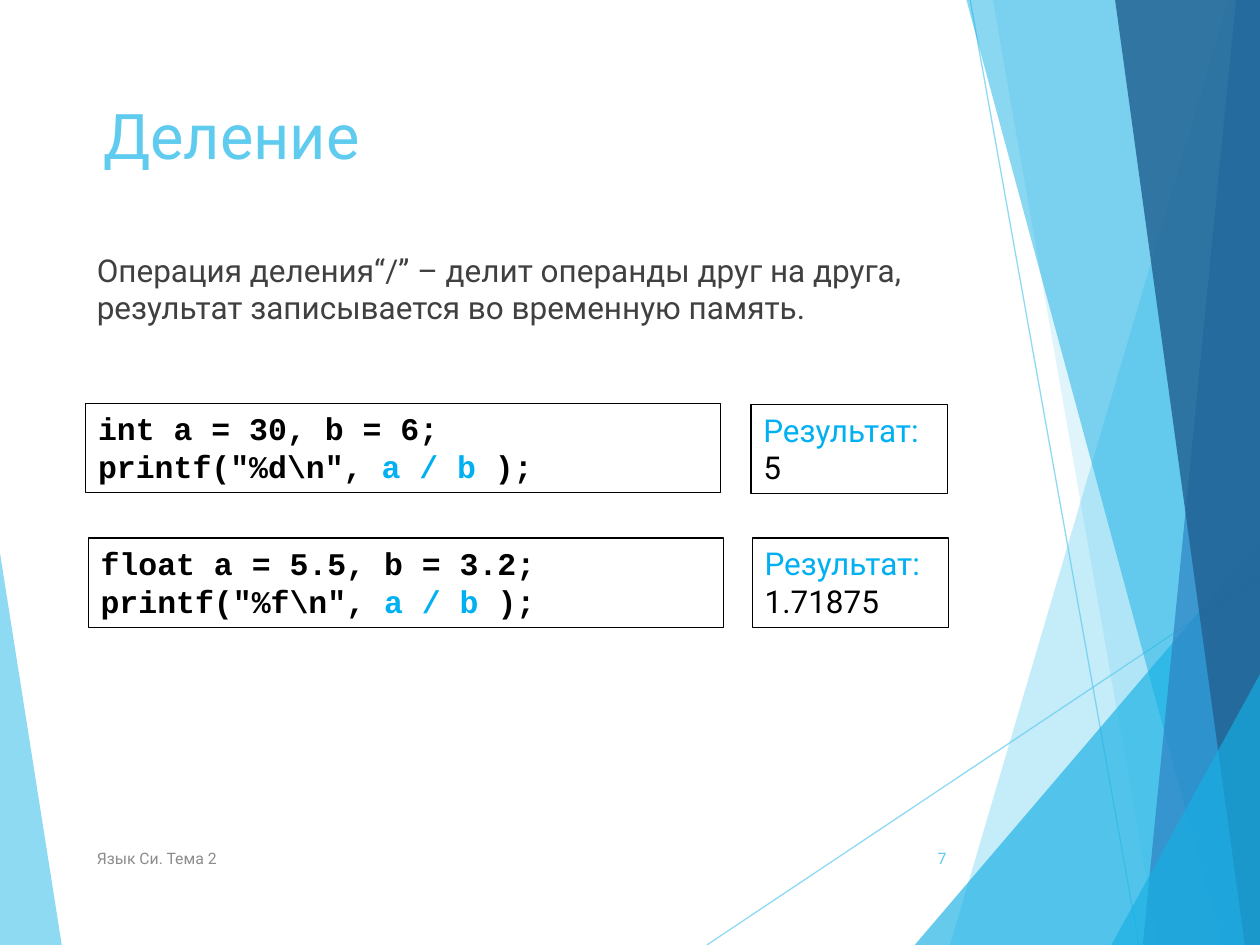
from lxml import etree
from pptx import Presentation
from pptx.dml.color import RGBColor
from pptx.enum.shapes import MSO_CONNECTOR
from pptx.enum.text import MSO_ANCHOR, PP_ALIGN
from pptx.oxml.ns import qn
from pptx.util import Inches, Pt

STRAIGHT = MSO_CONNECTOR.STRAIGHT
TOP, MIDDLE = MSO_ANCHOR.TOP, MSO_ANCHOR.MIDDLE
LEFT, RIGHT = PP_ALIGN.LEFT, PP_ALIGN.RIGHT

COLORS = {
    "sky": "5FCBEF",
    "cyan": "17B0E4",
    "blue": "2E83C3",
    "navy": "226292",
    "body": "404040",
    "footer": "8C8C8C",
    "black": "000000",
    "accent": "00B0F0",
}
TEXT_FONT = "Roboto"
CODE_FONT = "Courier New"

LEFT_WEDGE = ("sky", 70, [(0, 4.39), (0.49, 7.5), (0, 7.5)])
RAYS = [((5.61, 7.5), (10, 4.57)), ((7.7, 0), (9.04, 7.5))]
RIGHT_FACETS = [
    ("sky", 36, [(9.75, 0), (7.54, 7.5), (10, 7.5), (10, 0)]),
    ("sky", 20, [(7.88, 0), (9.19, 7.5), (10, 7.5), (10, 0)]),
    ("cyan", 66, [(7.26, 7.5), (10, 4.29), (10, 7.5)]),
    ("cyan", 50, [(7.67, 0), (9.7, 7.5), (10, 7.5), (10, 0)]),
    ("blue", 70, [(9.81, 0), (9.07, 7.5), (10, 7.5), (10, 0)]),
    ("navy", 82, [(8.85, 0), (9.88, 7.5), (10, 7.5), (10, 0)]),
    ("cyan", 66, [(8.82, 7.5), (10, 5.35), (10, 7.5)]),
]

# Code box position, result box position, declaration, print format, result
EXAMPLES = [
    ((0.68, 3.2), (5.96, 3.21), "int a = 30, b = 6;", "%d", "5"),
    ((0.7, 4.27), (5.97, 4.27), "float a = 5.5, b = 3.2;", "%f", "1.71875"),
]


def rgb(color):
    return RGBColor.from_string(COLORS[color])


def set_opacity(fill_owner, percent):
    """Make the solid colour inside an XML element partly transparent."""
    for color in fill_owner.iter(qn("a:srgbClr")):
        etree.SubElement(color, qn("a:alpha"), val=str(percent * 1000))


def add_facet(slide, color, opacity, points):
    corners = [(Inches(x), Inches(y)) for x, y in points]
    builder = slide.shapes.build_freeform(*corners[0])
    builder.add_line_segments(corners[1:], close=True)
    facet = builder.convert_to_shape()
    facet.shadow.inherit = False
    facet.fill.solid()
    facet.fill.fore_color.rgb = rgb(color)
    set_opacity(facet._element.spPr, opacity)
    facet.line.fill.background()


def add_ray(slide, start, end):
    ray = slide.shapes.add_connector(
        STRAIGHT, *(Inches(value) for value in start + end))
    ray.line.color.rgb = rgb("sky")
    ray.line.width = Pt(0.75)
    properties = ray._element.spPr
    set_opacity(properties, 70)
    etree.SubElement(properties, qn("a:effectLst"))


def add_text(slide, position, size, lines, points, font=TEXT_FONT, bold=False,
             anchor=TOP, align=LEFT):
    """Add a text box; each line is a list of (text, colour) runs."""
    box = slide.shapes.add_textbox(
        *(Inches(value) for value in position + size))
    frame = box.text_frame
    frame.word_wrap = True
    frame.vertical_anchor = anchor
    for number, line in enumerate(lines):
        paragraph = frame.add_paragraph() if number else frame.paragraphs[0]
        paragraph.alignment = align
        for text, color in line:
            run = paragraph.add_run()
            run.text = text
            run.font.name = font
            run.font.size = Pt(points)
            run.font.bold = bold
            run.font.color.rgb = rgb(color)
    return box


def add_framed_text(slide, position, width, lines, **style):
    box = add_text(slide, position, (width, 0.71), lines, 18, **style)
    box.line.color.rgb = rgb("black")
    box.line.width = Pt(0.75)


def add_example(slide, code_position, result_position, declaration,
                print_format, result):
    code = [
        [(declaration, "black")],
        [(f'printf("{print_format}\\n", ', "black"), ("a / b", "accent"),
         (" );", "black")],
    ]
    add_framed_text(slide, code_position, 5.04, code, font=CODE_FONT, bold=True)
    output = [[("Результат:", "accent")], [(result, "black")]]
    add_framed_text(slide, result_position, 1.56, output)


def add_background(slide):
    add_facet(slide, *LEFT_WEDGE)
    for start, end in RAYS:
        add_ray(slide, start, end)
    for facet in RIGHT_FACETS:
        add_facet(slide, *facet)


def main():
    presentation = Presentation()
    presentation.slide_width = Inches(10)
    presentation.slide_height = Inches(7.5)
    slide = presentation.slides.add_slide(presentation.slide_layouts[6])

    add_background(slide)
    add_text(slide, (0.72, 0.72), (6.94, 1.44), [[("Деление", "sky")]], 36)
    definition = ("Операция деления“/” – делит операнды друг на друга, "
                  "результат записывается во временную память.")
    add_text(slide, (0.67, 1.94), (6.94, 4.67), [[(definition, "body")]], 18)
    add_text(slide, (0.67, 6.61), (5.06, 0.4),
             [[("Язык Си. Тема 2", "footer")]], 9, anchor=MIDDLE)
    add_text(slide, (7.05, 6.61), (0.56, 0.4), [[("7", "sky")]], 9,
             anchor=MIDDLE, align=RIGHT)
    for example in EXAMPLES:
        add_example(slide, *example)

    presentation.save("out.pptx")


if __name__ == "__main__":
    main()
